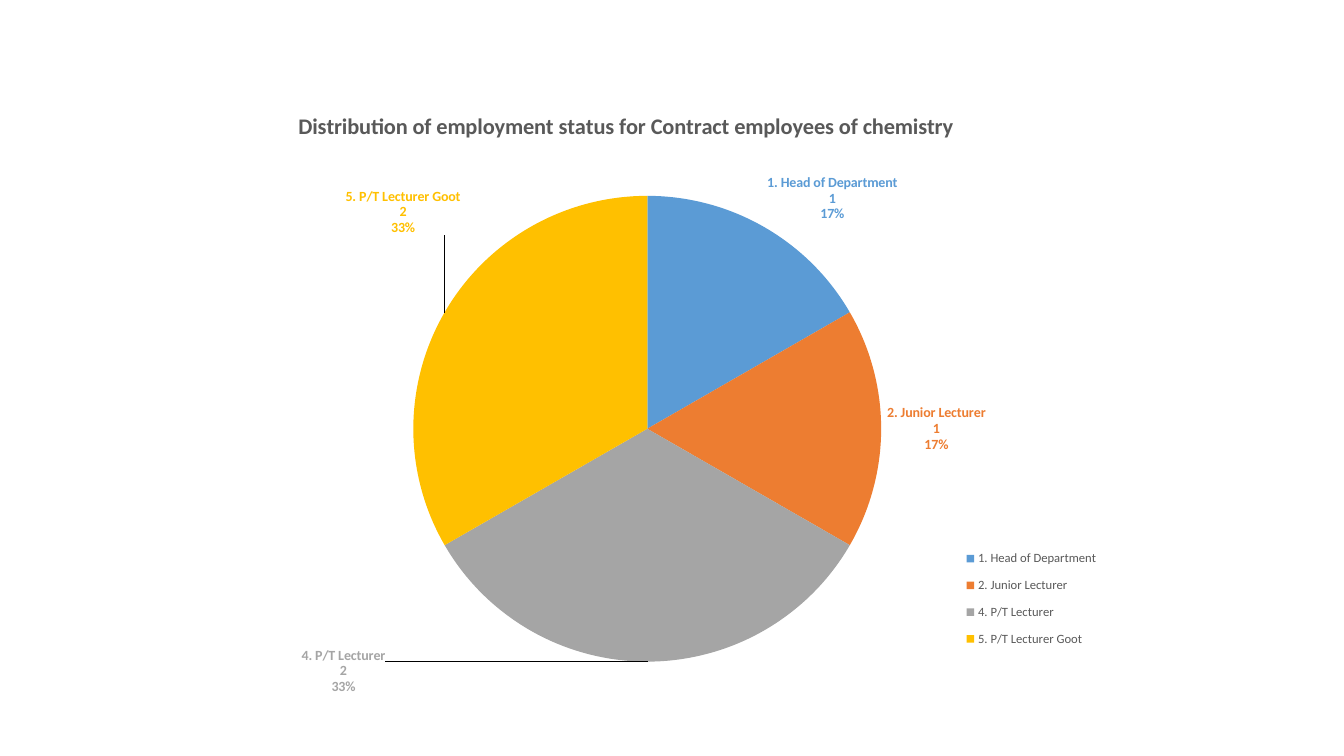
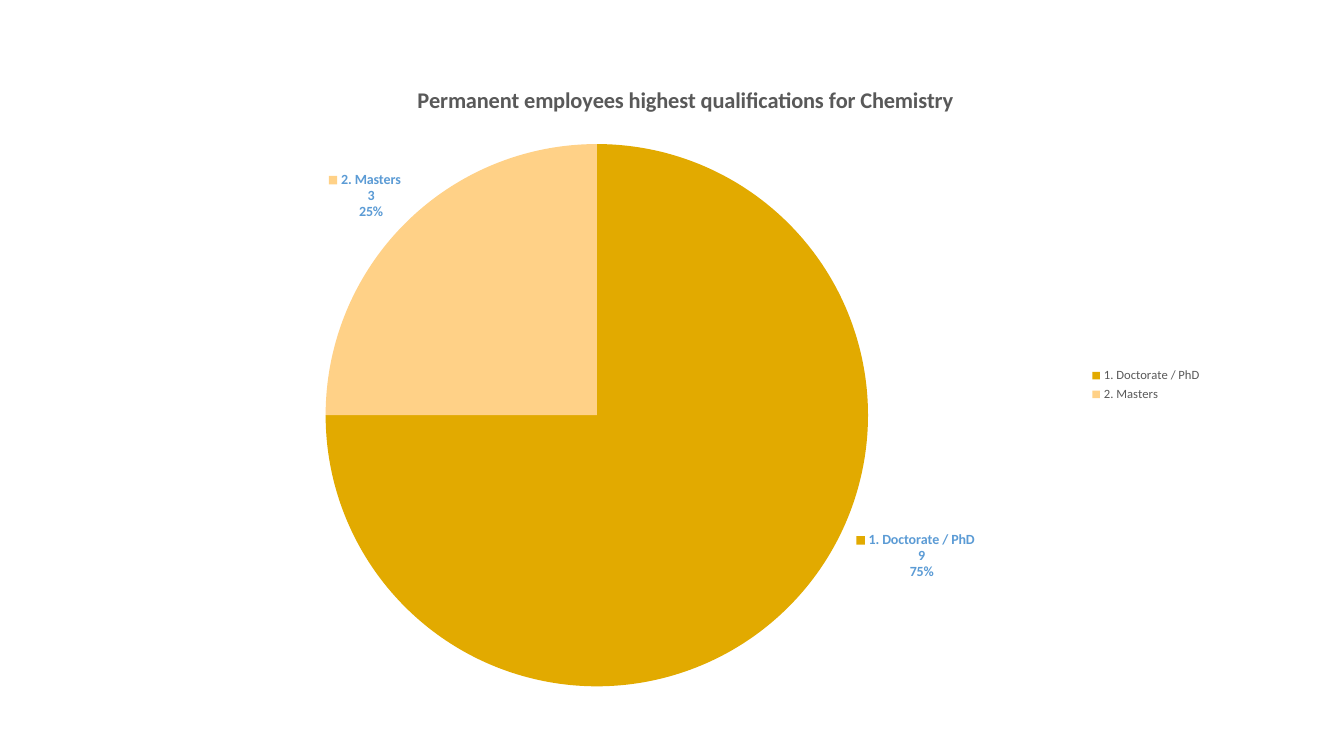
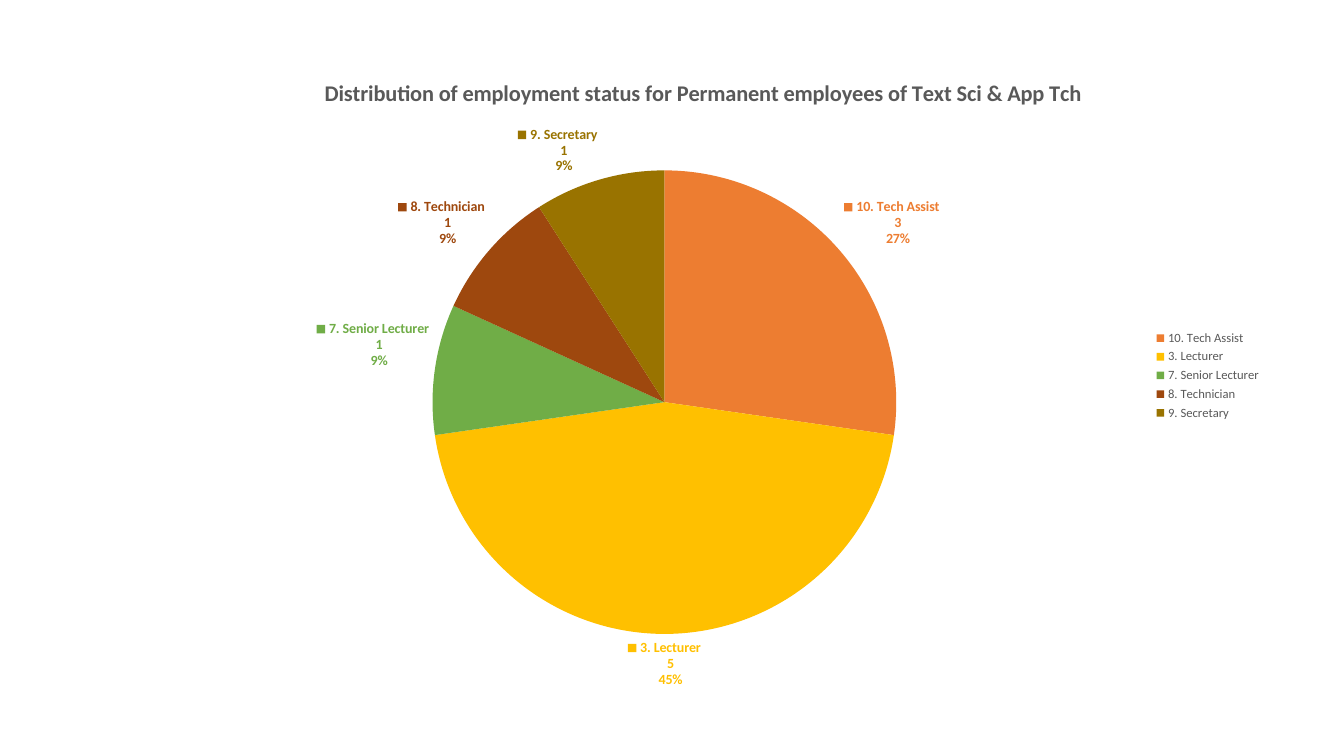
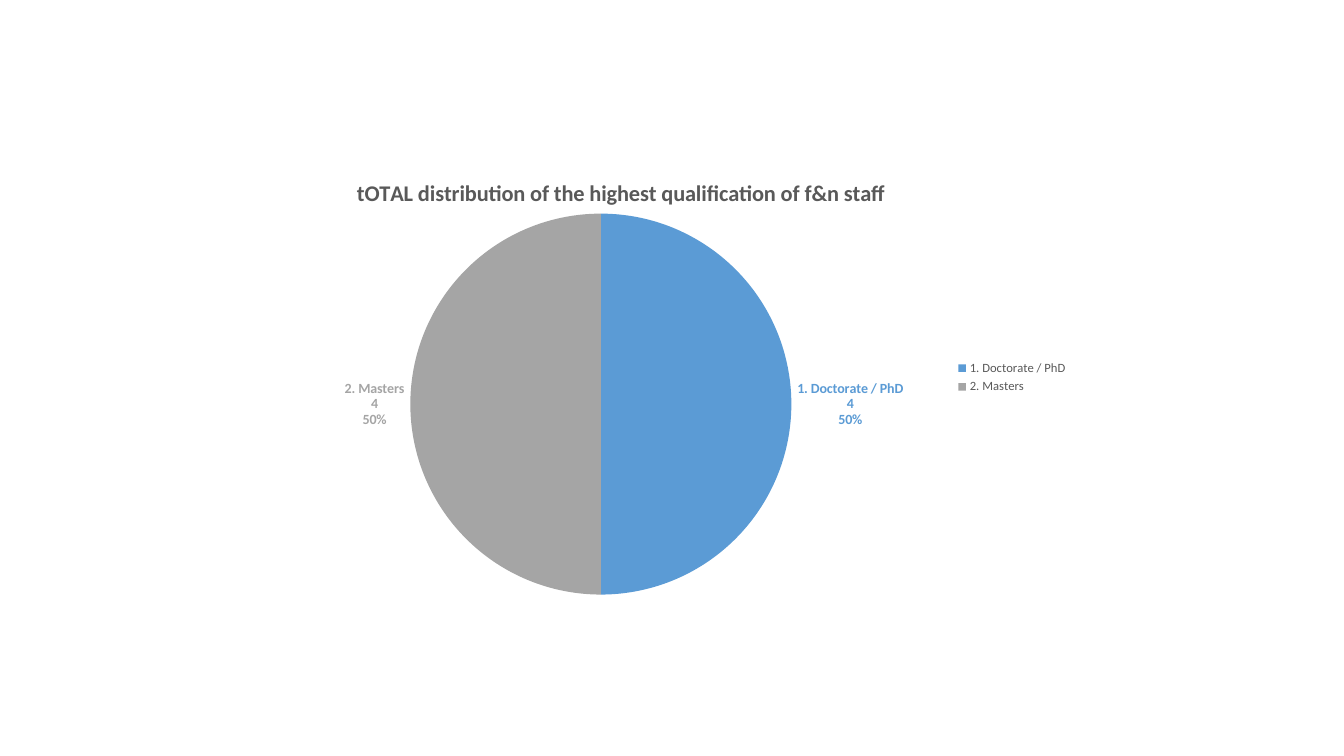
import lxml.etree
import pptx
import pptx.chart.data
import pptx.dml.color
import pptx.enum.chart
import pptx.util
from dataclasses import dataclass

Inches = pptx.util.Inches
Pt = pptx.util.Pt
C = "{http://schemas.openxmlformats.org/drawingml/2006/chart}"


@dataclass
class Theme:
    font: str = "Calibri"
    gray: str = "595959"
    blue: str = "5B9BD5"
    orange: str = "ED7D31"
    silver: str = "A5A5A5"
    gold: str = "FFC000"
    green: str = "70AD47"
    rust: str = "9E480E"
    olive: str = "997300"
    amber: str = "E2AA00"
    peach: str = "FFD187"
    title: float = 16
    label: float = 10
    legend: float = 9


T = Theme()


def style(font, text=None, frame=None, size=T.label, color=T.gray, bold=False):
    """Format a font, or write text in a frame and format its run."""
    if frame is not None:
        frame.text = text
        font = frame.paragraphs[0].runs[0].font
    font.name, font.size, font.bold = T.font, Pt(size), bold
    font.color.rgb = pptx.dml.color.RGBColor.from_string(color)


def place(part, index, **vals):
    """Give a chart part a manual layout as its child at index."""
    for old in part.findall(C + "layout"):
        part.remove(old)
    layout = lxml.etree.Element(C + "layout")
    manual = lxml.etree.SubElement(layout, C + "manualLayout")
    for key, val in vals.items():
        lxml.etree.SubElement(manual, C + key).set("val", str(val))
    part.insert(index, layout)


# Places are in inches on the slide: title (left, top), pie (centre, radius),
# legend (left, top, width, height); moves are label shifts in chart fractions
charts = [
    dict(title="Distribution of employment status for Contract employees of chemistry",
         box=(1.28, 0.42, 10.39, 6.67), head=(2.92, 1.06), pie=(6.42, 4.27, 2.32),
         rows=[("1. Head of Department", 1, T.blue), ("2. Junior Lecturer", 1, T.orange),
               ("4. P/T Lecturer", 2, T.silver), ("5. P/T Lecturer Goot", 2, T.gold)],
         legend=(9.53, 5.37, 1.4, 1.19), moves={2: (-0.29, -0.03), 3: (0.02, -0.11)},
         lead=True),
    dict(title="Permanent employees highest qualifications for Chemistry",
         box=(1.5, 0.56, 10.52, 6.52), head=(4.1, 0.8), pie=(5.92, 4.12, 2.69),
         rows=[("1. Doctorate / PhD", 9, T.amber), ("2. Masters", 3, T.peach)],
         moves={0: (0.06, -0.12)}, keys=True, ink=T.blue),
    dict(title="Distribution of employment status for Permanent employees of Text Sci & App Tch",
         box=(1.28, 0.49, 11.33, 6.47), head=(3.18, 0.73), pie=(6.59, 3.99, 2.3),
         rows=[("10. Tech Assist", 3, T.orange), ("3. Lecturer", 5, T.gold),
               ("7. Senior Lecturer", 1, T.green), ("8. Technician", 1, T.rust),
               ("9. Secretary", 1, T.olive)],
         keys=True),
    dict(title="tOTAL distribution of the highest qualification of f&n staff",
         box=(2.64, 1.46, 8.05, 4.57), head=(3.5, 1.72), pie=(5.96, 4.01, 1.89),
         rows=[("1. Doctorate / PhD", 4, T.blue), ("2. Masters", 4, T.silver)]),
]

deck = pptx.Presentation()
deck.slide_width, deck.slide_height = Inches(13.33), Inches(7.5)

for item in charts:
    slide = deck.slides.add_slide(deck.slide_layouts[6])
    left, top, wide, high = item["box"]
    names, vals, colors = zip(*item["rows"])

    # Chart and title
    data = pptx.chart.data.CategoryChartData()
    data.categories = names
    data.add_series("Series 1", vals)
    chart = slide.shapes.add_chart(
        pptx.enum.chart.XL_CHART_TYPE.PIE, *map(Inches, item["box"]), data).chart
    style(chart.font, color="000000")
    chart.has_title = True
    style(None, item["title"], chart.chart_title.text_frame, size=T.title, bold=True)
    root = chart.element
    edge = dict(xMode="edge", yMode="edge")
    x, y = item["head"]
    place(root.find(f".//{C}title"), 1, **edge,
          x=round((x - left) / wide, 4), y=round((y - top) / high, 4))

    # Pie circle
    x, y, rad = item["pie"]
    place(root.find(f".//{C}plotArea"), 0, layoutTarget="inner", **edge,
          x=round((x - rad - left) / wide, 4), y=round((y - rad - top) / high, 4),
          w=round(2 * rad / wide, 4), h=round(2 * rad / high, 4))

    # Legend
    chart.has_legend = True
    chart.legend.position = pptx.enum.chart.XL_LEGEND_POSITION.RIGHT
    chart.legend.include_in_layout = False
    style(chart.legend.font, size=T.legend)
    if "legend" in item:
        x, y, w, h = item["legend"]
        place(root.find(f".//{C}legend"), 1, **edge,
              x=round((x - left) / wide, 4), y=round((y - top) / high, 4),
              w=round(w / wide, 4), h=round(h / high, 4))

    # Slices and their labels
    plot = chart.plots[0]
    plot.vary_by_categories = True
    series = plot.series[0]
    labels = series.data_labels
    style(labels.font, color=T.blue, bold=True)
    labels.position = pptx.enum.chart.XL_LABEL_POSITION.OUTSIDE_END
    for n, color in enumerate(colors):
        point = series.points[n]
        point.format.fill.solid()
        point.format.fill.fore_color.rgb = pptx.dml.color.RGBColor.from_string(color)
        point.format.line.fill.background()
        style(point.data_label.font, color=item.get("ink", color), bold=True)
        point.data_label.position = pptx.enum.chart.XL_LABEL_POSITION.OUTSIDE_END

    # Name, value and percent on three lines; leader lines where labels moved
    group = root.find(f".//{C}dLbls")
    marks = group.findall(C + "dLbl")
    flags = dict(showLegendKey=item.get("keys", False), showVal=True,
                 showCatName=True, showSerName=False, showPercent=True,
                 showBubbleSize=False)
    for part in [group, *marks]:
        for tag in [*flags, "separator", "showLeaderLines"]:
            for old in part.findall(C + tag):
                part.remove(old)
        for tag, on in flags.items():
            lxml.etree.SubElement(part, C + tag).set("val", str(int(on)))
        lxml.etree.SubElement(part, C + "separator").text = "\n"
    lead = lxml.etree.SubElement(group, C + "showLeaderLines")
    lead.set("val", str(int(item.get("lead", False))))
    for n, (x, y) in item.get("moves", {}).items():
        place(marks[n], 1, x=x, y=y)

deck.save("out.pptx")
